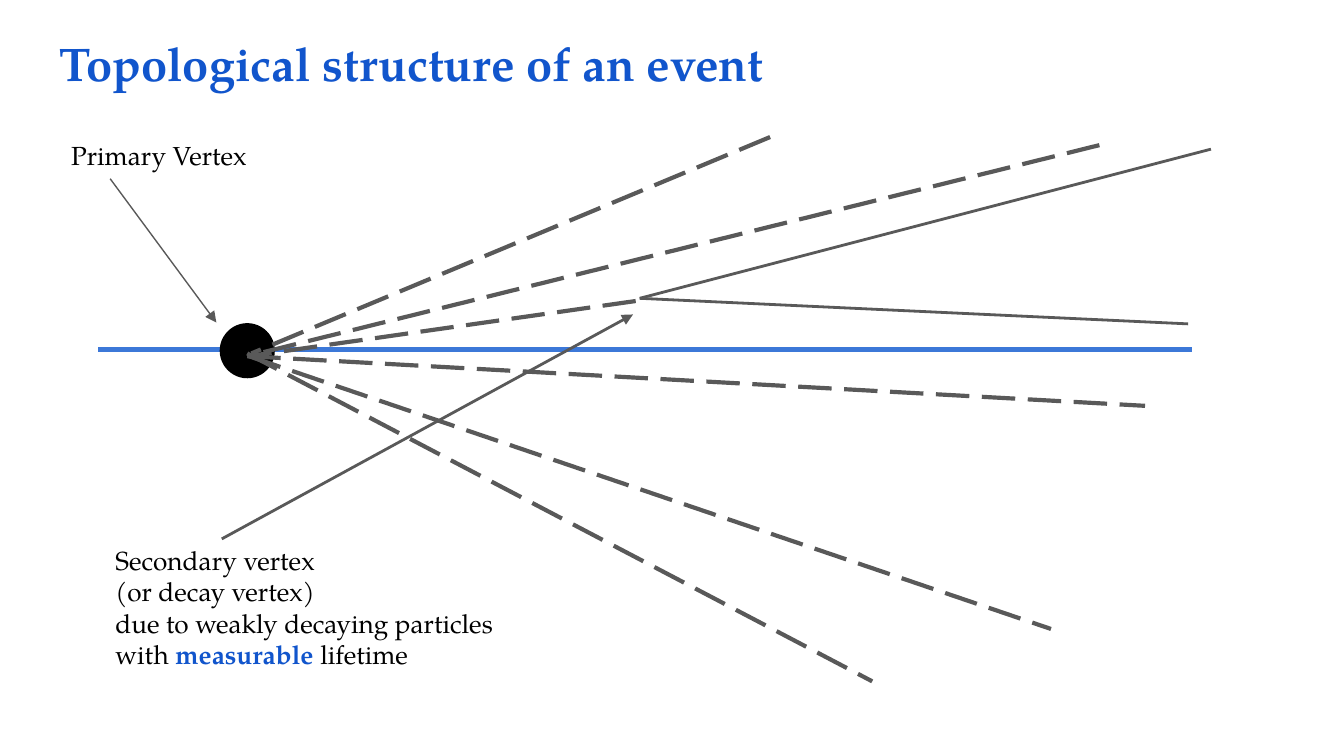
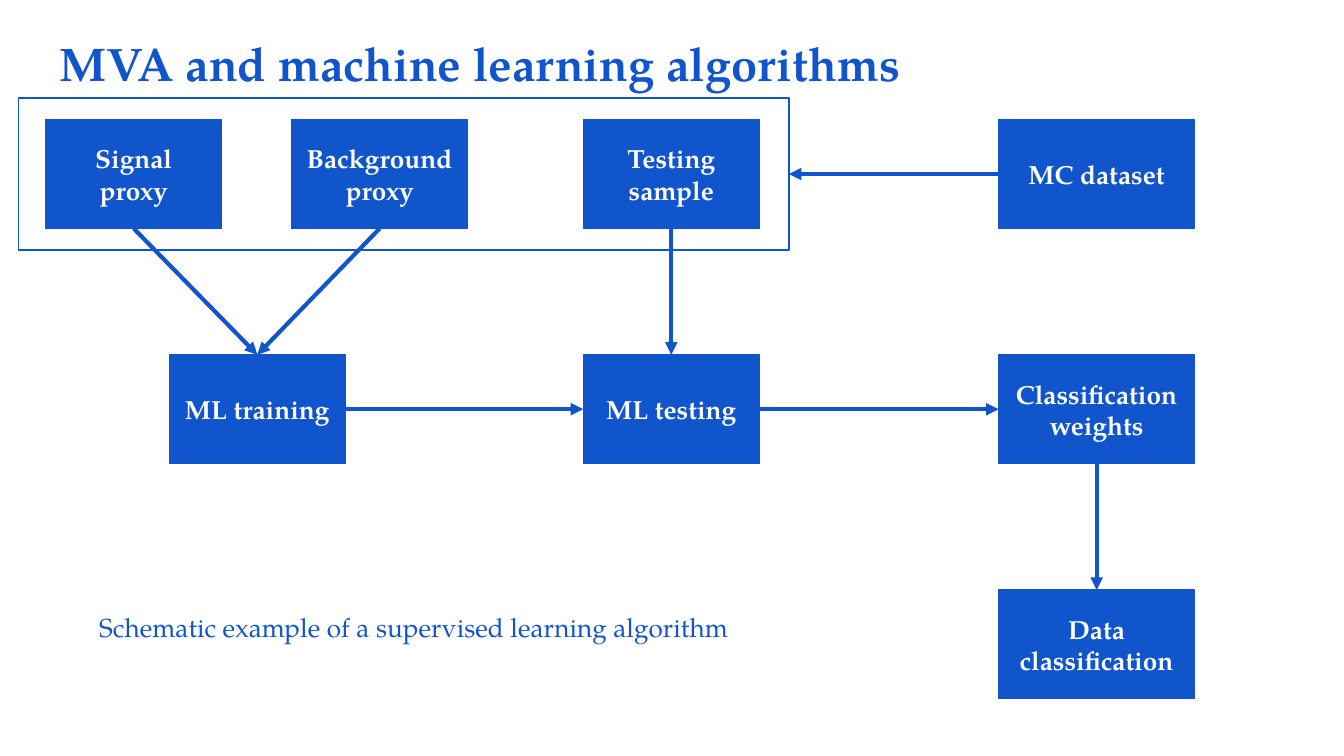
from dataclasses import dataclass

from lxml import etree
from pptx import Presentation, util as u
from pptx.dml.color import RGBColor
from pptx.enum import dml, shapes, text
from pptx.oxml import ns

COLUMNS, ROWS = 100, 56.25  # the page as a grid of square cells, 16:9
CELL = u.Inches(10) / COLUMNS


@dataclass(frozen=True)
class Theme:
    font: str = "TeX Gyre Pagella"
    title_size: float = 25.2
    body_size: float = 14
    blue: str = "1155CC"
    beam: str = "3C78D8"
    track: str = "595959"
    black: str = "000000"
    white: str = "FFFFFF"
    hairline: float = 0.75
    thin: float = 1.5
    thick: float = 2.25
    beam_width: float = 3


THEME = Theme()


@dataclass(frozen=True)
class Box:
    """An area of the page, in grid columns and rows."""
    left: float
    top: float
    width: float
    height: float

    def inner(self, left, top, width, height):
        return Box(self.left + left, self.top + top, width, height)

    def point(self, column, row):
        return u.Emu(round((self.left + column) * CELL)), u.Emu(round((self.top + row) * CELL))

    def frame(self):
        return *self.point(0, 0), u.Emu(round(self.width * CELL)), u.Emu(round(self.height * CELL))


TITLE = Box(3.4, 1.55, 93.2, 6.3)
EVENT = Box(4, 9, 87, 43)
FLOW = Box(1.4, 7.3, 87.5, 44.7)


# Shared parts

def style_font(font, color, size=THEME.body_size, bold=False):
    font.name, font.size, font.bold = THEME.font, u.Pt(size), bold
    font.color.rgb = RGBColor.from_string(color)


def set_text(shape, lines, color, size=THEME.body_size, bold=False,
             align=text.PP_ALIGN.LEFT, anchor=text.MSO_ANCHOR.TOP):
    """Fill a shape; a line is a string or a list of (words, highlighted) pairs."""
    frame = shape.text_frame
    frame.word_wrap = True
    frame.auto_size = text.MSO_AUTO_SIZE.NONE
    frame.vertical_anchor = anchor
    frame.margin_left = frame.margin_right = frame.margin_top = frame.margin_bottom = u.Inches(0.1)
    for index, line in enumerate(lines):
        para = frame.add_paragraph() if index else frame.paragraphs[0]
        para.alignment = align
        style_font(para.font, color, size, bold)
        for words, highlighted in [(line, False)] if isinstance(line, str) else line:
            span = para.add_run()
            span.text = words
            if highlighted:
                style_font(span.font, THEME.blue, size, True)


def add_page(deck, title):
    page = deck.slides.add_slide(deck.slide_layouts[5])
    heading = page.shapes.title
    heading.left, heading.top, heading.width, heading.height = TITLE.frame()
    set_text(heading, [title], THEME.blue, THEME.title_size, bold=True)
    return page


def add_label(page, box, lines, color=THEME.black):
    set_text(page.shapes.add_textbox(*box.frame()), lines, color)


def add_block(page, kind, box, color, filled=True):
    block = page.shapes.add_shape(kind, *box.frame())
    block.shadow.inherit = False
    block.line.color.rgb = RGBColor.from_string(color)
    block.line.width = u.Pt(THEME.hairline)
    if filled:
        block.fill.solid()
        block.fill.fore_color.rgb = RGBColor.from_string(color)
    else:
        block.fill.background()
    return block


def add_line(page, start, end, color, width, dashed=False, arrow=False):
    line = page.shapes.add_connector(shapes.MSO_CONNECTOR.STRAIGHT, *start, *end)
    line.line.color.rgb = RGBColor.from_string(color)
    line.line.width = u.Pt(width)
    if dashed:
        line.line.dash_style = dml.MSO_LINE.LONG_DASH
    properties = line._element.spPr
    if arrow:
        etree.SubElement(properties.get_or_add_ln(), ns.qn("a:tailEnd"), type="triangle")
    etree.SubElement(properties, ns.qn("a:effectLst"))
    return line


# Slide 1: particle tracks leaving the primary vertex

def draw_event(page, box):
    def draw(start, end, color=THEME.track, width=THEME.thin, **options):
        add_line(page, box.point(*start), box.point(*end), color, width, **options)

    # Beam line and primary vertex
    for first, last in ((3.3, 52.7), (50.8, 84.7)):
        draw((first, 17), (last, 17), THEME.beam, THEME.beam_width)
    add_block(page, shapes.MSO_SHAPE.OVAL, box.inner(12.4, 15.1, 4, 4), THEME.black)
    add_label(page, box.inner(0.3, 0.4, 24.2, 3.8), ["Primary Vertex"])
    draw((4.2, 4.3), (12.1, 15), width=THEME.hairline, arrow=True)

    # Tracks from the primary vertex
    tracks = (
        ((14.4, 17.5), (81.2, 21.2)),
        ((14.4, 17.3), (60.9, 41.7)),
        ((14.5, 17.5), (74.2, 37.8)),
        ((77.8, 1.8), (14.4, 17.5)),
        ((53.3, 1.2), (14.7, 17.3)),
        ((43.3, 13.4), (14.5, 17.5)),
    )
    for start, end in tracks:
        draw(start, end, width=THEME.thick, dashed=True)

    # Decay products and secondary vertex
    for end in ((84.4, 15.1), (86.1, 2.1)):
        draw((43.6, 13.2), end)
    add_label(page, box.inner(3.6, 30.5, 31.8, 3.8), [
        "Secondary vertex",
        "(or decay vertex)",
        "due to weakly decaying particles",
        [("with ", False), ("measurable", True), (" lifetime", False)],
    ])
    draw((12.5, 31.1), (43.1, 14.4), arrow=True)


# Slide 2: flow of a supervised learning algorithm

def draw_flow(page, box):
    top, left, bottom, right = range(4)  # connection sites of a rectangle
    rectangle = shapes.MSO_SHAPE.RECTANGLE
    narrow, wide, height, row_step = 13.1, 14.6, 8.1, 17.5

    # Steps, each with its column, row and width
    def add_step(name, column, row, width=narrow):
        place = box.inner(column, 1.6 + row * row_step, width, height)
        step = add_block(page, rectangle, place, THEME.blue)
        set_text(step, [name], THEME.white, bold=True,
                 align=text.PP_ALIGN.CENTER, anchor=text.MSO_ANCHOR.MIDDLE)
        return step

    signal = add_step("Signal proxy", 2, 0)
    background = add_step("Background proxy", 20.3, 0)
    training = add_step("ML training", 11.2, 1)
    testing = add_step("ML testing", 42, 1)
    weights = add_step("Classification weights", 72.9, 1, wide)
    sample = add_step("Testing sample", 42, 0)
    result = add_step("Data classification", 72.9, 2, wide)

    # Frame around the simulated samples, level with their source
    samples = add_block(page, rectangle, box.inner(0, 0, 57.3, 11.3), THEME.blue, filled=False)
    dataset = add_step("MC dataset", 72.9, 0, wide)

    # Arrows glued to the steps
    for source, source_site, target, target_site in (
        (signal, bottom, training, top),
        (background, bottom, training, top),
        (sample, bottom, testing, top),
        (training, right, testing, left),
        (testing, right, weights, left),
        (weights, bottom, result, top),
        (dataset, left, samples, right),
    ):
        arrow = add_line(page, (0, 0), (0, 0), THEME.blue, THEME.thick, arrow=True)
        arrow.begin_connect(source, source_site)
        arrow.end_connect(target, target_site)

    # Caption
    add_label(page, box.inner(5, 37.2, 57.3, 6.3),
              ["Schematic example of a supervised learning algorithm"], THEME.blue)


def main():
    deck = Presentation()
    deck.slide_width = u.Emu(round(COLUMNS * CELL))
    deck.slide_height = u.Emu(round(ROWS * CELL))
    draw_event(add_page(deck, "Topological structure of an event"), EVENT)
    draw_flow(add_page(deck, "MVA and machine learning algorithms"), FLOW)
    deck.save("out.pptx")


if __name__ == "__main__":
    main()
